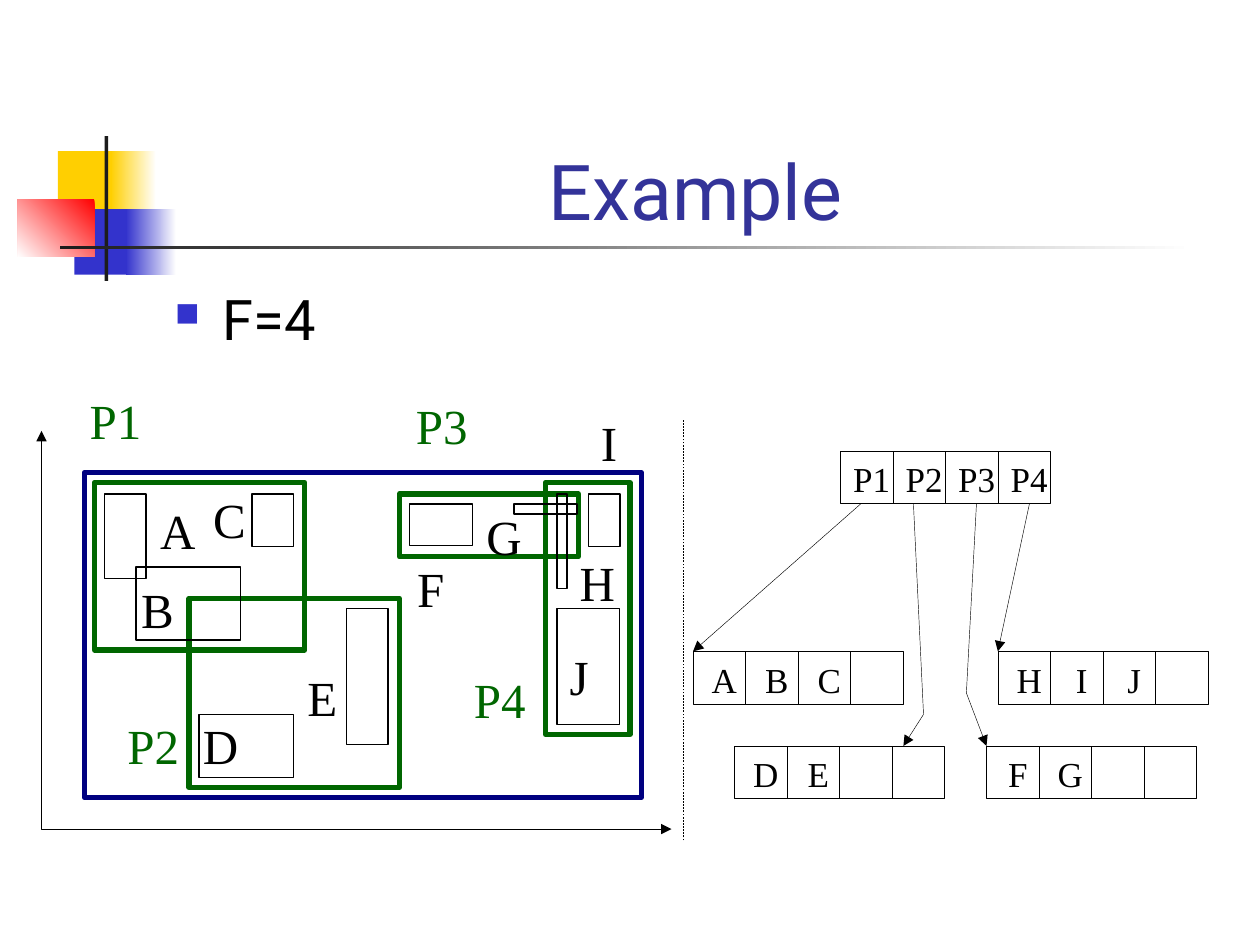
import lxml.etree
import pptx
import pptx.dml.color
import pptx.enum.dml
import pptx.enum.shapes
import pptx.enum.text
import pptx.oxml.ns
import pptx.util

Inches = pptx.util.Inches
Align = pptx.enum.text.PP_ALIGN
Anchor = pptx.enum.text.MSO_ANCHOR
RECTANGLE = pptx.enum.shapes.MSO_SHAPE.RECTANGLE

BLACK, GREEN, NAVY, BLUE, WHITE = "000000", "006600", "000080", "3333CC", "FFFFFF"
GOLD, RED, CHARCOAL, TITLE = "FFCF01", "FF0000", "1C1C1C", "333399"
SERIF, SANS = "Times New Roman", "Roboto"
CELL = 5 / 12
# Glyph widths in em, used to fit each label box to its text
GLYPH_WIDTHS = dict(A=0.72, B=0.67, C=0.67, D=0.72, E=0.61, F=0.56,
                    G=0.72, H=0.72, I=0.33, J=0.39, P=0.56)


def color(hex_string):
    return pptx.dml.color.RGBColor.from_string(hex_string)


def add_xml(parent, tag, **attributes):
    return lxml.etree.SubElement(parent, pptx.oxml.ns.qn(tag), attributes)


def label_width(text, size):
    ems = sum(GLYPH_WIDTHS.get(letter, 0.5) for letter in text)
    return ems * size / 72 + 0.2


def write_text(shape, text, size=28, font=SERIF, ink=BLACK, align=Align.CENTER,
               anchor=Anchor.MIDDLE, wrap=False, bullet=None):
    frame = shape.text_frame
    frame.word_wrap = wrap
    frame.vertical_anchor = anchor
    if not wrap:
        frame.auto_size = pptx.enum.text.MSO_AUTO_SIZE.SHAPE_TO_FIT_TEXT
    paragraph = frame.paragraphs[0]
    paragraph.alignment = align
    if bullet:
        properties = paragraph._p.get_or_add_pPr()
        properties.set("marL", str(Inches(0.38)))
        properties.set("indent", str(Inches(-0.38)))
        add_xml(add_xml(properties, "a:buClr"), "a:srgbClr", val=BLUE)
        add_xml(properties, "a:buSzPct", val="60000")
        add_xml(properties, "a:buChar", char=bullet)
    run = paragraph.add_run()
    run.text = text
    run.font.size = pptx.util.Pt(size)
    run.font.name = font
    run.font.color.rgb = color(ink)


class SlideBuilder:
    thin, medium, thick = 0.25, 0.75, 3

    def __init__(self, slide):
        self.slide = slide

    def stroke(self, shape, ink=BLACK, width=thin, head=False, tail=False, dash=None):
        shape.line.color.rgb = color(ink)
        shape.line.width = pptx.util.Pt(width)
        if dash:
            shape.line.dash_style = dash
        line = shape.line._get_or_add_ln()
        for wanted, tag in ((head, "a:headEnd"), (tail, "a:tailEnd")):
            if wanted:
                add_xml(line, tag, type="triangle")

    def box(self, left, top, width, height, shapes=None):
        shapes = shapes or self.slide.shapes
        shape = shapes.add_shape(RECTANGLE, Inches(left), Inches(top),
                                 Inches(width), Inches(height))
        shape.shadow.inherit = False
        shape.fill.background()
        return shape

    def outline(self, area, ink=BLACK, width=medium, shapes=None):
        self.stroke(self.box(*area, shapes=shapes), ink, width)

    def block(self, area, *colors, angle=180):
        shape = self.box(*area)
        shape.line.fill.background()
        if len(colors) == 1:
            shape.fill.solid()
            shape.fill.fore_color.rgb = color(colors[0])
            return
        shape.fill.gradient()
        shape.fill.gradient_angle = angle
        for stop, stop_color in zip(shape.fill.gradient_stops, colors):
            stop.color.rgb = color(stop_color)

    def text(self, area, text, shapes=None, **style):
        shapes = shapes or self.slide.shapes
        shape = shapes.add_textbox(*(Inches(length) for length in area))
        write_text(shape, text, **style)

    def label(self, left, top, text, ink=BLACK):
        self.text((left, top, label_width(text, 28), 0.57), text, ink=ink)

    def node(self, left, top, names):
        """A tree node with four slots, the first ones filled with names."""
        shapes = self.slide.shapes.add_group_shape().shapes
        for index in range(4):
            self.outline((left + index * CELL, top, CELL, CELL),
                         width=self.thin, shapes=shapes)
        for index, name in enumerate(names):
            width = label_width(name, 20)
            center = left + (index + 0.5) * CELL + 0.04
            self.text((center - width / 2, top, width, 0.44), name,
                      shapes=shapes, size=20)

    def line(self, start, end, **style):
        connector = self.slide.shapes.add_connector(
            pptx.enum.shapes.MSO_CONNECTOR.STRAIGHT,
            *(Inches(length) for length in (*start, *end)))
        self.stroke(connector, **style)
        add_xml(connector._element.spPr, "a:effectLst")

    def polyline(self, points, **style):
        start, *rest = [(Inches(x), Inches(y)) for x, y in points]
        builder = self.slide.shapes.build_freeform(*start)
        builder.add_line_segments(rest, close=False)
        shape = builder.convert_to_shape()
        shape.shadow.inherit = False
        shape.fill.background()
        self.stroke(shape, **style)


def main():
    presentation = pptx.Presentation()
    presentation.slide_width, presentation.slide_height = Inches(10), Inches(7.5)
    slide = SlideBuilder(presentation.slides.add_slide(presentation.slide_layouts[6]))

    # Corner decoration and title rule
    slide.block((0.46, 1.2, 0.48, 0.52), GOLD)
    slide.block((0.88, 1.2, 0.36, 0.52), WHITE, GOLD)
    slide.block((0.59, 1.66, 0.46, 0.52), BLUE)
    slide.block((1, 1.66, 0.4, 0.52), WHITE, BLUE)
    slide.block((0.14, 1.58, 0.61, 0.46), RED, WHITE, angle=225)
    slide.block((0.83, 1.08, 0.03, 1.15), CHARCOAL)
    slide.block((0.48, 1.95, 9, 0.03), WHITE, CHARCOAL)

    # Title and bullet
    slide.text((1.26, 0.67, 8.52, 1.25), "Example", size=44, font=SANS, ink=TITLE,
               anchor=Anchor.BOTTOM, wrap=True)
    slide.text((1.29, 2.21, 8.5, 4.5), "F=4", size=32, font=SANS, align=Align.LEFT,
               anchor=Anchor.TOP, wrap=True, bullet="■")

    # Bounding rectangles P1, P4, P2, P3
    for area in ((0.75, 3.83, 1.67, 1.33), (4.33, 3.83, 0.67, 2),
                 (1.5, 4.75, 1.67, 1.5), (3.17, 3.92, 1.42, 0.5)):
        slide.outline(area, GREEN, slide.thick)

    # Data rectangles
    for area in ((0.83, 3.92, 0.33, 0.67), (2, 3.92, 0.33, 0.42),
                 (1.08, 4.5, 0.83, 0.58), (1.58, 5.67, 0.75, 0.5),
                 (2.75, 4.83, 0.33, 1.08), (3.25, 4, 0.5, 0.33),
                 (4.42, 4.83, 0.5, 0.92), (4.67, 3.92, 0.25, 0.42),
                 (4.08, 4, 0.5, 0.08), (4.42, 3.92, 0.08, 0.75)):
        slide.outline(area)

    # Whole space and its axes
    slide.outline((0.67, 3.75, 4.42, 2.58), NAVY, slide.thick)
    slide.polyline([(0.33, 3.42), (0.33, 6.58), (5.33, 6.58)], head=True, tail=True)

    # Rectangle names
    for name, left, top in (("A", 1.17, 3.92), ("B", 1.02, 4.55), ("C", 1.59, 3.83),
                            ("D", 1.51, 5.63), ("E", 2.34, 5.25), ("F", 3.21, 4.38),
                            ("G", 3.76, 3.97), ("H", 4.5, 4.33), ("I", 4.67, 3.22),
                            ("J", 4.42, 5.08)):
        slide.label(left, top, name)
    for name, left, top in (("P1", 0.61, 3.05), ("P2", 0.91, 5.63),
                            ("P3", 3.2, 3.09), ("P4", 3.66, 5.26)):
        slide.label(left, top, name, GREEN)

    # Tree nodes
    slide.node(6.67, 3.58, ["P1", "P2", "P3", "P4"])
    slide.node(7.83, 5.92, "FG")
    slide.node(5.83, 5.92, "DE")
    slide.node(7.92, 5.17, "HIJ")
    slide.node(5.5, 5.17, "ABC")

    # Divider and child pointers
    slide.line((5.42, 6.67), (5.42, 3.33), dash=pptx.enum.dml.MSO_LINE.DASH)
    slide.line((6.83, 4), (5.5, 5.17), tail=True)
    slide.line((8.17, 4), (7.92, 5.17), tail=True)
    slide.polyline([(7.25, 4), (7.33, 5.67), (7.17, 5.92)], tail=True)
    slide.polyline([(7.75, 4), (7.67, 5.5), (7.83, 5.92)], tail=True)

    presentation.save("out.pptx")


if __name__ == "__main__":
    main()
